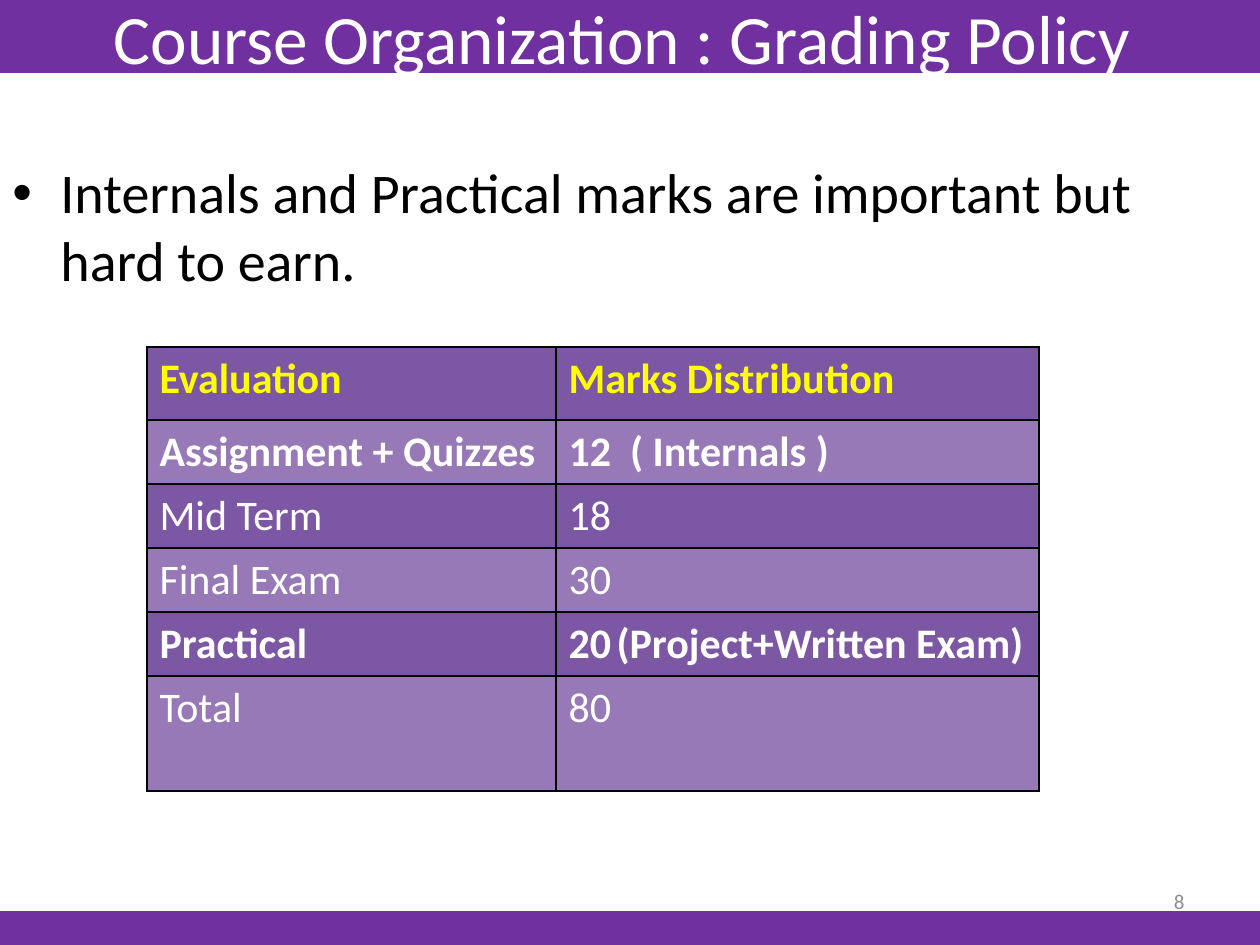
import pptx
import pptx.util
import pptx.dml.color
import pptx.enum.shapes
import pptx.enum.text
import pptx.oxml.ns
from lxml import etree

Color = pptx.dml.color.RGBColor
Align = pptx.enum.text.PP_ALIGN
Anchor = pptx.enum.text.MSO_ANCHOR

PURPLE = Color(0x70, 0x30, 0xA0)
ROW_DARK = Color(0x7C, 0x57, 0xA4)
ROW_LIGHT = Color(0x96, 0x79, 0xB6)
YELLOW = Color(0xFF, 0xFF, 0x00)
WHITE = Color(0xFF, 0xFF, 0xFF)
BLACK = Color(0x00, 0x00, 0x00)
GRAY = Color(0x8C, 0x8C, 0x8C)
FONT = "Calibri"
HANGING = 48

GRADES = [
    ("Evaluation", "Marks Distribution"),
    ("Assignment + Quizzes", "12  ( Internals )"),
    ("Mid Term", "18"),
    ("Final Exam", "30"),
    ("Practical", "(Project+Written Exam)"),
    ("Total", "80"),
]
BOLD_ROWS = {0, 1, 4}
PRACTICAL_ROW = 4
COLUMN_WIDTHS = [409, 483]
ROW_HEIGHTS = [73, 64, 64, 64, 64, 115]


def px(length):
    """Turn pixels at 126 to the inch into EMU."""
    return pptx.util.Emu(round(length * 914400 / 126))


def add_child(parent, tag, **attributes):
    """Append a DrawingML element and return it."""
    return etree.SubElement(parent, pptx.oxml.ns.qn(tag), attributes)


def write(frame, text, size, color, align=Align.LEFT, bold=False):
    """Set one formatted paragraph in a text frame and return it."""
    frame.text = text
    para = frame.paragraphs[0]
    para.alignment = align
    font = para.runs[0].font
    font.name, font.size, font.bold = FONT, pptx.util.Pt(size), bold
    font.color.rgb = color
    return para


def add_hanging_mark(para, tag, **attributes):
    """Give a paragraph a bullet or number with a hanging indent."""
    properties = para._p.get_or_add_pPr()
    properties.set("marL", str(px(HANGING)))
    properties.set("indent", str(-px(HANGING)))
    add_child(properties, "a:buFont", typeface="Arial" if tag == "a:buChar" else FONT)
    add_child(properties, tag, **attributes)


def add_bar(page, top, height):
    """Add a purple bar across the page."""
    bar = page.shapes.add_shape(
        pptx.enum.shapes.MSO_SHAPE.RECTANGLE, 0, px(top), px(1260), px(height))
    bar.shadow.inherit = False
    bar.fill.solid()
    bar.fill.fore_color.rgb = PURPLE
    bar.line.color.rgb = PURPLE
    bar.line.width = pptx.util.Pt(2)
    return bar


def add_text(page, left, top, width, height, anchor=Anchor.TOP):
    """Add a wrapping text box and return its frame."""
    box = page.shapes.add_textbox(px(left), px(top), px(width), px(height))
    frame = box.text_frame
    frame.word_wrap = True
    frame.vertical_anchor = anchor
    return frame


def style_cell(cell, fill):
    """Set thin black borders and a solid fill on a cell."""
    properties = cell._tc.get_or_add_tcPr()
    for side in ("a:lnL", "a:lnR", "a:lnT", "a:lnB"):
        line = add_child(properties, side, w=str(pptx.util.Pt(1)))
        add_child(add_child(line, "a:solidFill"), "a:srgbClr", val=str(BLACK))
    cell.fill.solid()
    cell.fill.fore_color.rgb = fill


def add_grades(page):
    """Add the table of marks."""
    table = page.shapes.add_table(
        len(GRADES), len(COLUMN_WIDTHS), px(147), px(347),
        px(sum(COLUMN_WIDTHS)), px(sum(ROW_HEIGHTS))).table
    for column, width in zip(table.columns, COLUMN_WIDTHS):
        column.width = px(width)
    for index, (row, texts) in enumerate(zip(table.rows, GRADES)):
        row.height = px(ROW_HEIGHTS[index])
        for cell, text in zip(row.cells, texts):
            style_cell(cell, ROW_LIGHT if index % 2 else ROW_DARK)
            write(cell.text_frame, text, 24, WHITE if index else YELLOW,
                  bold=index in BOLD_ROWS)
    practical = table.cell(PRACTICAL_ROW, 1).text_frame.paragraphs[0]
    add_hanging_mark(practical, "a:buAutoNum", type="arabicPlain", startAt="20")


def main():
    """Build the grading policy slide."""
    deck = pptx.Presentation()
    deck.slide_width, deck.slide_height = px(1260), px(945)
    page = deck.slides.add_slide(deck.slide_layouts[6])

    title = add_bar(page, 0, 73)
    title.line.fill.background()
    title.text_frame.vertical_anchor = Anchor.MIDDLE
    write(title.text_frame, "Course Organization : Grading Policy ", 39.6, WHITE, Align.CENTER)

    add_bar(page, 913, 32)
    number = add_text(page, 903, 876, 294, 50, Anchor.MIDDLE)
    write(number, "8", 12, GRAY, Align.RIGHT)

    body = add_text(page, 0, 73, 1260, 872)
    body.margin_top = px(85)
    point = write(
        body, "Internals and Practical marks are important but hard to earn.", 32, BLACK)
    add_hanging_mark(point, "a:buChar", char="•")

    add_grades(page)
    deck.save("out.pptx")


if __name__ == "__main__":
    main()
